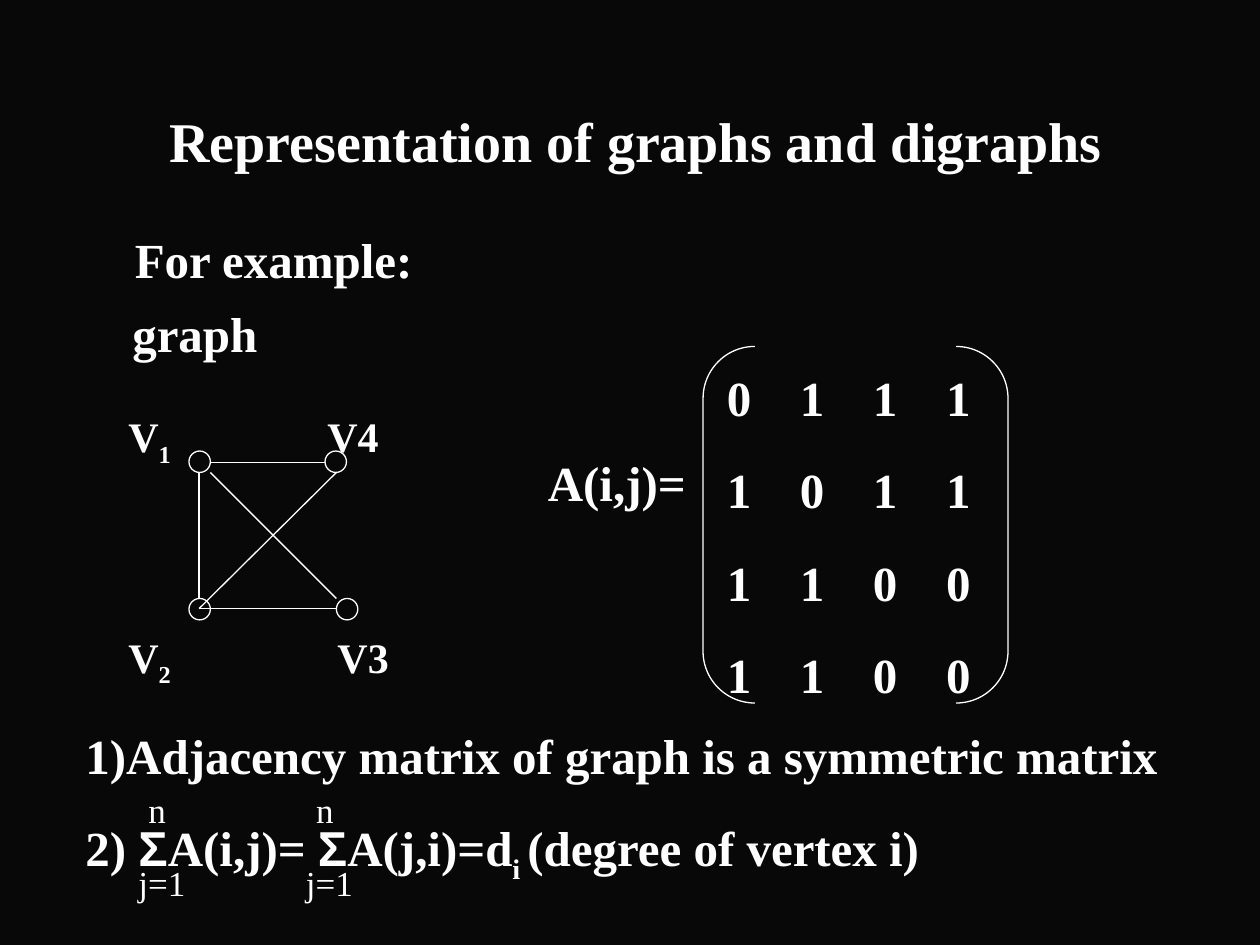
import pptx
import pptx.util
import pptx.dml.color
import pptx.enum.shapes
import pptx.enum.text
import lxml.etree
from pptx.util import Inches

WHITE = pptx.dml.color.RGBColor(0xFF, 0xFF, 0xFF)
NEAR_BLACK = pptx.dml.color.RGBColor(0x08, 0x08, 0x08)
SERIF = "Times New Roman"
A = "http://schemas.openxmlformats.org/drawingml/2006/main"
MSO_SHAPE = pptx.enum.shapes.MSO_SHAPE


def add_run(paragraph, text, size, bold=True, font=SERIF, subscript=False):
    run = paragraph.add_run()
    run.text = text
    run.font.size = pptx.util.Pt(size)
    run.font.bold = bold
    run.font.name = font
    run.font.color.rgb = WHITE
    if subscript:
        run.font._element.set("baseline", "-25000")


def add_box(shapes, left, top, width, height):
    frame = shapes.add_textbox(
        Inches(left), Inches(top), Inches(width), Inches(height)).text_frame
    frame.word_wrap = True
    frame.margin_top = Inches(0.09)
    return frame


deck = pptx.Presentation()
deck.slide_width, deck.slide_height = Inches(10), Inches(7.5)
slide = deck.slides.add_slide(deck.slide_layouts[1])
slide.background.fill.solid()
slide.background.fill.fore_color.rgb = NEAR_BLACK

# Title
title = slide.shapes.title
title.left, title.top = Inches(0.8), Inches(0.67)
title.width, title.height = Inches(8.5), Inches(0.83)
title.text_frame.margin_top = Inches(0.1)
title.text_frame.vertical_anchor = pptx.enum.text.MSO_ANCHOR.MIDDLE
heading = title.text_frame.paragraphs[0]
heading.alignment = pptx.enum.text.PP_ALIGN.CENTER
add_run(heading, "Representation of graphs and digraphs", 32)

# Introductory lines
intro = slide.placeholders[1]
intro.left, intro.top = Inches(0.75), Inches(1.67)
intro.width, intro.height = Inches(8.5), Inches(4.48)
intro.text_frame.margin_top = Inches(0.15)
intro.text_frame.auto_size = pptx.enum.text.MSO_AUTO_SIZE.NONE
for index, (text, indent) in enumerate([("For example:", 0.22), ("graph", 0.2)]):
    line = intro.text_frame.paragraphs[0] if index == 0 else intro.text_frame.add_paragraph()
    properties = line._p.get_or_add_pPr()
    properties.set("marL", str(Inches(indent)))
    properties.set("indent", "0")
    lxml.etree.SubElement(properties, f"{{{A}}}buNone")
    line.space_before = pptx.util.Pt(9 * index)
    add_run(line, text, 28)

# Graph: vertices, edges and labels
graph = slide.shapes.add_group_shape().shapes
for left, top in [(1.5, 3.58), (1.5, 4.75), (2.67, 4.75), (2.58, 3.58)]:
    vertex = graph.add_shape(
        MSO_SHAPE.OVAL, Inches(left), Inches(top), Inches(0.17), Inches(0.17))
    vertex.shadow.inherit = False
    vertex.fill.background()
    vertex.line.color.rgb = WHITE
    vertex.line.width = pptx.util.Pt(0.75)

for x1, y1, x2, y2 in [
    (1.67, 3.67, 2.58, 3.67),
    (1.58, 3.75, 1.58, 4.75),
    (1.67, 3.75, 2.67, 4.75),
    (2.67, 3.75, 1.58, 4.83),
    (1.58, 4.83, 2.67, 4.83),
]:
    edge = graph.add_connector(
        pptx.enum.shapes.MSO_CONNECTOR.STRAIGHT,
        Inches(x1), Inches(y1), Inches(x2), Inches(y2))
    edge.line.color.rgb = WHITE
    edge.line.width = pptx.util.Pt(0.75)
    lxml.etree.SubElement(edge._element.spPr, f"{{{A}}}effectLst")

for left, top, width, name, number in [
    (0.92, 3.17, 0.58, "V", "1"),
    (0.92, 4.92, 0.83, "V", "2"),
    (2.58, 4.92, 0.92, "V3", ""),
    (2.5, 3.17, 1.25, "V4", ""),
]:
    label = add_box(graph, left, top, width, 0.56 if number else 0.5).paragraphs[0]
    add_run(label, name, 24)
    if number:
        add_run(label, number, 24, subscript=True)

# Adjacency matrix
matrix = slide.shapes.add_group_shape().shapes
add_run(add_box(matrix, 4.25, 3.5, 1.67, 0.57).paragraphs[0], "A(i,j)=", 28)

brackets = matrix.add_shape(
    MSO_SHAPE.DOUBLE_BRACKET, Inches(5.58), Inches(2.75), Inches(2.42), Inches(2.83))
brackets.adjustments[0] = 0.17
brackets.shadow.inherit = False
brackets.fill.background()
brackets.line.color.rgb = WHITE
brackets.line.width = pptx.util.Pt(0.75)

entries = add_box(matrix, 5.67, 2.83, 2.5, 2.7)
for index, values in enumerate(["0111", "1011", "1100", "1100"]):
    row = entries.paragraphs[0] if index == 0 else entries.add_paragraph()
    tabs = lxml.etree.SubElement(row._p.get_or_add_pPr(), f"{{{A}}}tabLst")
    for column in range(1, 4):
        lxml.etree.SubElement(
            tabs, f"{{{A}}}tab", pos=str(Inches(0.58 * column)), algn="l")
    row.space_before = pptx.util.Pt(19 if index else 0)
    add_run(row, "\t".join(values), 28)

# Properties of the matrix
facts = add_box(slide.shapes, 0.58, 5.67, 9.08, 1.34)
add_run(facts.paragraphs[0], "1)Adjacency matrix of graph is a symmetric matrix", 28)
degree = facts.add_paragraph()
degree.space_before = pptx.util.Pt(19)
for text, font, subscript in [
    ("2) ", SERIF, False),
    ("Σ", "Arial", False),
    ("A(i,j)= ", SERIF, False),
    ("Σ", "Arial", False),
    ("A(j,i)=d", SERIF, False),
    ("i ", SERIF, True),
    ("(degree of vertex i)", SERIF, False),
]:
    add_run(degree, text, 28, font=font, subscript=subscript)

# Limits of the two sums
limits = slide.shapes.add_group_shape().shapes
for left in (1, 2.33):
    for text, offset, top, width in [("n", 0.08, 6.17, 0.42), ("j=1", 0, 6.75, 0.75)]:
        limit = add_box(limits, left + offset, top, width, 0.43)
        add_run(limit.paragraphs[0], text, 20, bold=False)

deck.save("out.pptx")
